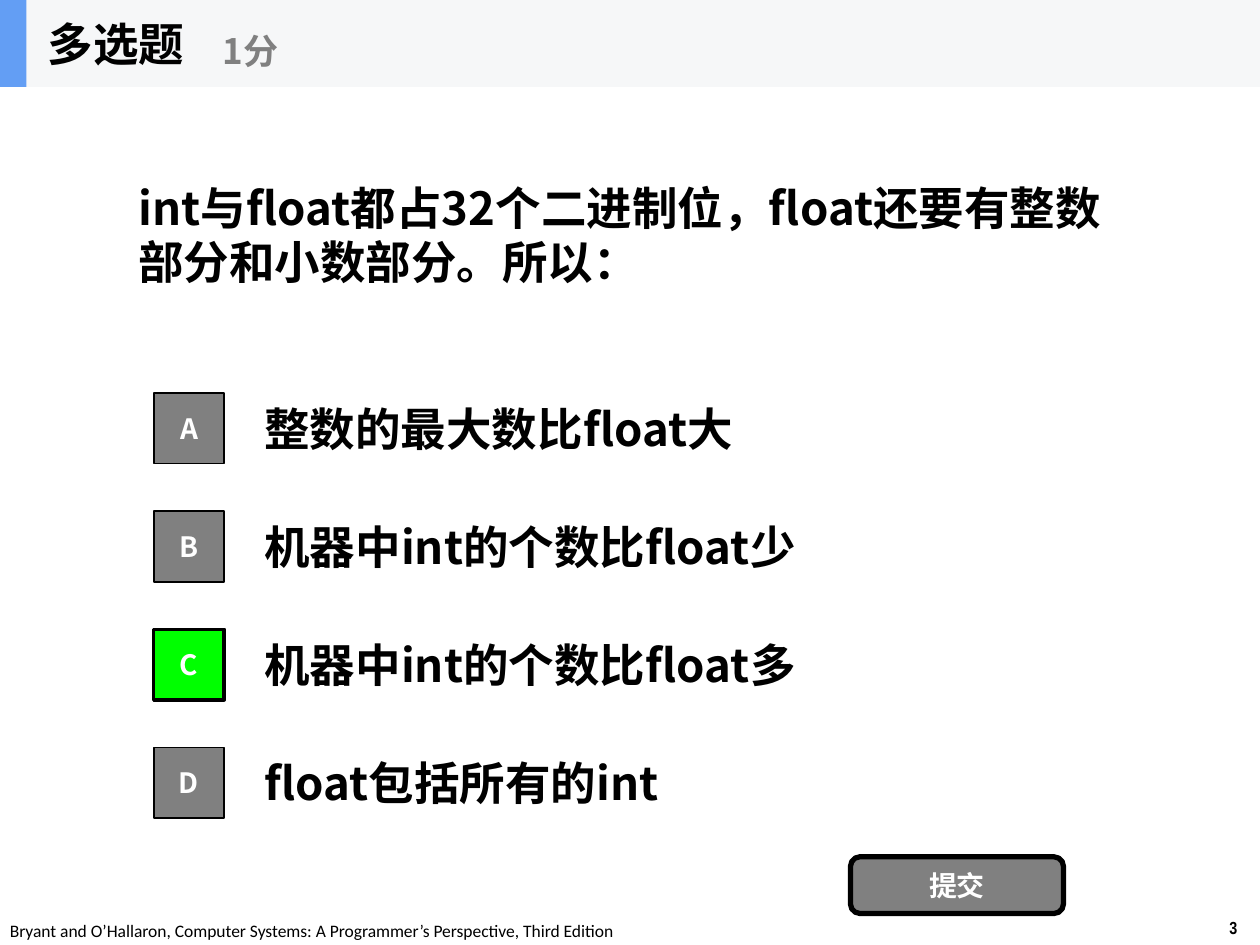
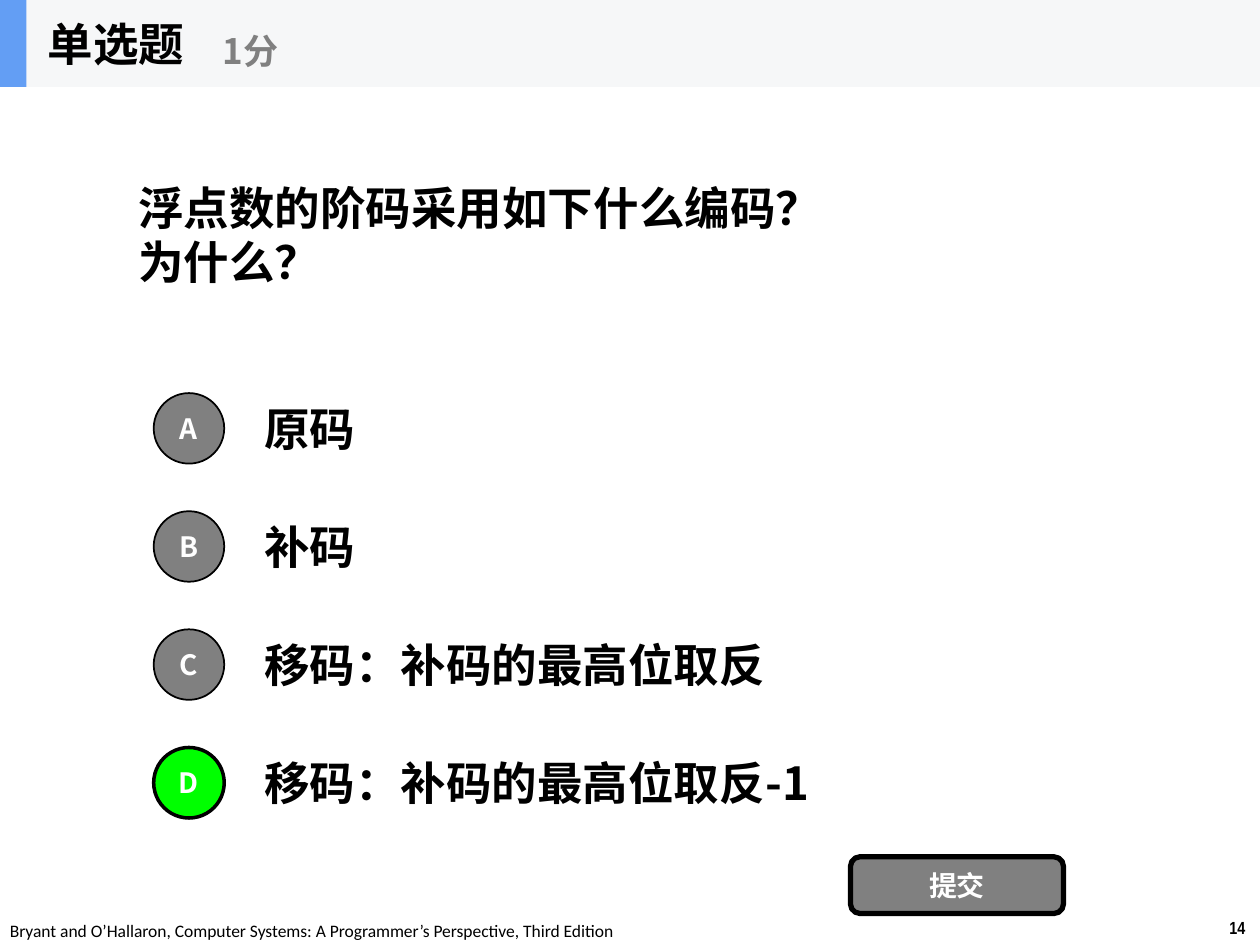
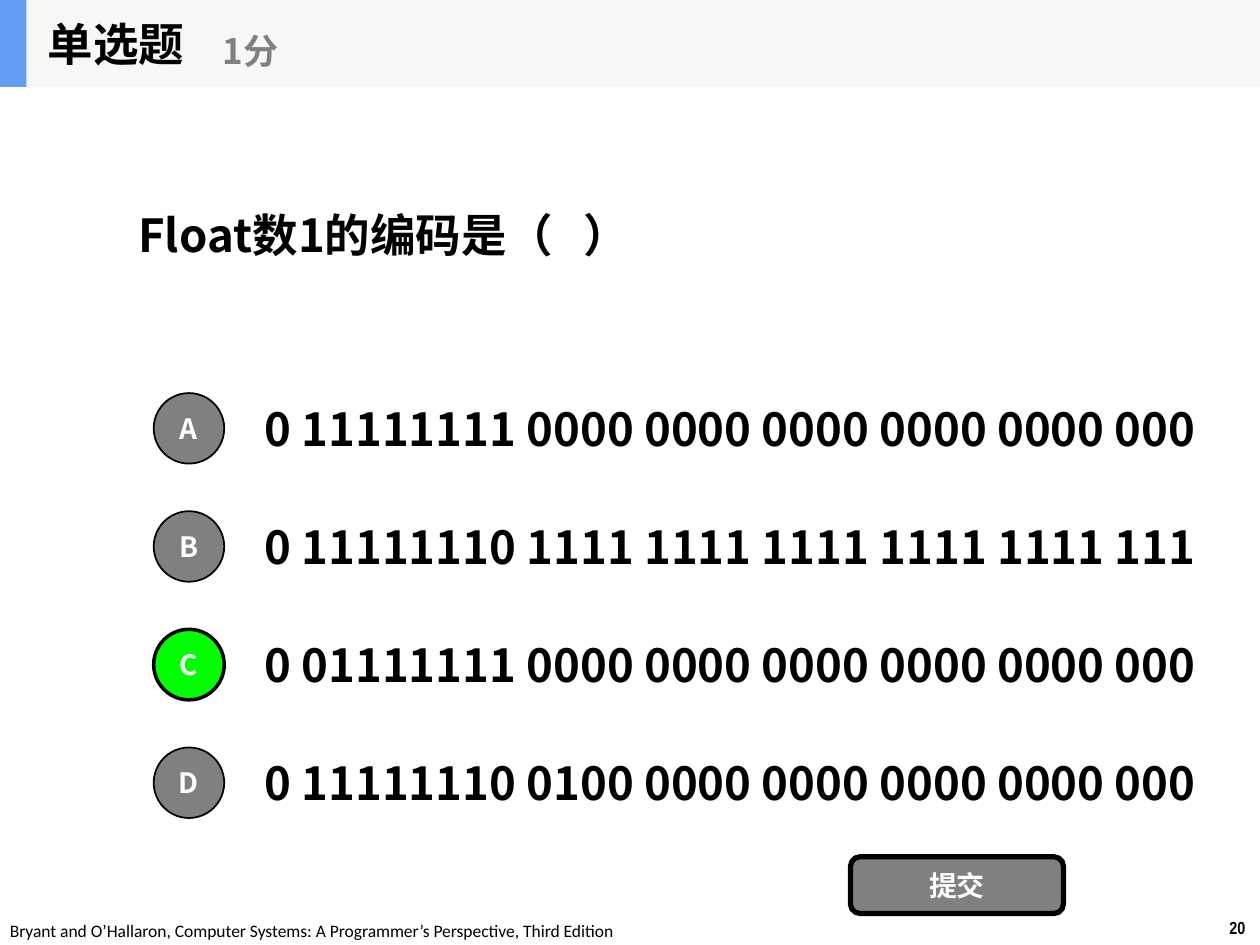
from pptx import Presentation
from pptx.dml.color import RGBColor
from pptx.enum.shapes import MSO_SHAPE
from pptx.enum.text import MSO_ANCHOR, MSO_AUTO_SIZE, PP_ALIGN
from pptx.oxml.ns import qn
from pptx.util import Inches, Pt
from lxml.etree import SubElement

W, H = 10, 7.5
BAND_H = 0.69
PITCH = H / 8
CJK = "Noto Sans CJK SC"
BLACK, WHITE, GRAY, GREEN = "000000", "FFFFFF", "808080", "00FF00"
BAND, ACCENT = "F6F7F8", "639EF4"
FOOTER = "Bryant and O’Hallaron, Computer Systems: A Programmer’s Perspective, Third Edition"

QUESTIONS = [
    dict(number=3, kind="多选题", badge=MSO_SHAPE.RECTANGLE, answer="C",
         question="int与float都占32个二进制位，float还要有整数部分和小数部分。所以：",
         options=["整数的最大数比float大", "机器中int的个数比float少",
                  "机器中int的个数比float多", "float包括所有的int"]),
    dict(number=14, kind="单选题", badge=MSO_SHAPE.OVAL, answer="D",
         question="浮点数的阶码采用如下什么编码？\n为什么？",
         options=["原码", "补码", "移码：补码的最高位取反", "移码：补码的最高位取反-1"]),
    dict(number=20, kind="单选题", badge=MSO_SHAPE.OVAL, answer="C",
         question="Float数1的编码是（   ）",
         options=["0 11111111 0000 0000 0000 0000 0000 000",
                  "0 11111110 1111 1111 1111 1111 1111 111",
                  "0 01111111 0000 0000 0000 0000 0000 000",
                  "0 11111110 0100 0000 0000 0000 0000 000"]),
]


def rgb(color):
    """Turn a hex string into a colour."""
    return RGBColor.from_string(color)


def write(sp, text, size=26, color=BLACK, font=CJK, bold=True, wrap=False,
          anchor=MSO_ANCHOR.MIDDLE, align=PP_ALIGN.LEFT):
    """Put formatted text into a shape."""
    tf = sp.text_frame
    tf.word_wrap = wrap
    tf.vertical_anchor = anchor
    p = tf.paragraphs[0]
    p.text = text
    p.alignment = align
    for r in p.runs:
        r.font.size, r.font.bold, r.font.name = Pt(size), bold, font
        r.font.color.rgb = rgb(color)
        SubElement(r.font._element, qn("a:ea")).set("typeface", font)


def add_text(shapes, box, text, **fmt):
    """Add a text box at a box given in inches."""
    sp = shapes.add_textbox(*map(Inches, box))
    write(sp, text, **fmt)
    return sp


def add_block(shapes, kind, box, fill, line=0):
    """Add a filled preset shape, outlined in black when a width is given."""
    sp = shapes.add_shape(kind, *map(Inches, box))
    sp.shadow.inherit = False
    sp.fill.solid()
    sp.fill.fore_color.rgb = rgb(fill)
    if line:
        sp.line.color.rgb = rgb(BLACK)
        sp.line.width = Pt(line)
    else:
        sp.line.fill.background()
    return sp


def add_button(shapes, kind, box, text, fill=GRAY, line=1):
    """Add an outlined shape with a centred white label."""
    sp = add_block(shapes, kind, box, fill, line)
    write(sp, text, size=16, color=WHITE, wrap=True, align=PP_ALIGN.CENTER)


def add_footer(shapes, number):
    """Add the page number and the book reference."""
    for box, text, font, bold in [
        ((9.66, 7.23, 0.34, 0.27), str(number), "Arial Narrow", True),
        ((-0.02, 7.25, 5.08, 0.27), FOOTER, "Calibri", False),
    ]:
        sp = add_text(shapes, box, text, size=10, font=font, bold=bold,
                      anchor=MSO_ANCHOR.TOP)
        sp.text_frame.auto_size = MSO_AUTO_SIZE.SHAPE_TO_FIT_TEXT


def add_option(shapes, box, badge, letter, text, correct):
    """Add a lettered badge and its text in one row."""
    x, y, w, h = box
    side = 0.8 * h
    add_text(shapes, (x + 1, y, w - 1, h), text)
    add_button(shapes, badge, (x + 0.22, y + (h - side) / 2, side, side), letter,
               fill=GREEN if correct else GRAY, line=2 if correct else 1)


def add_header(shapes, box, kind):
    """Add the grouped band with question type and score."""
    x, y, w, h = box
    band = shapes.add_group_shape().shapes
    add_block(band, MSO_SHAPE.RECTANGLE, box, BAND)
    add_block(band, MSO_SHAPE.RECTANGLE, (x, y, 0.21, h), ACCENT)
    add_text(band, (x + 0.28, y, 2.08, h), kind)
    add_text(band, (x + 1.67, y + 0.12, w / 4, 0.56), "1分", size=20, color=GRAY)


def add_question(prs, number, kind, badge, answer, question, options):
    """Build one quiz slide."""
    shapes = prs.slides.add_slide(prs.slide_layouts[6]).shapes
    add_footer(shapes, number)
    add_text(shapes, (1, BAND_H, 8, 2.34), question, wrap=True)
    for i, (letter, text) in enumerate(zip("ABCD", options)):
        add_option(shapes, (1, 3.05 + i * PITCH, 8.6, 0.7), badge, letter, text,
                   letter == answer)
    add_button(shapes, MSO_SHAPE.ROUNDED_RECTANGLE, (6.75, 6.8, 1.69, 0.45), "提交",
               line=3)
    add_header(shapes, (0, 0, W, BAND_H), kind)


def main():
    """Build and save the deck."""
    prs = Presentation()
    prs.slide_width, prs.slide_height = Inches(W), Inches(H)
    for item in QUESTIONS:
        add_question(prs, **item)
    prs.save("out.pptx")


if __name__ == "__main__":
    main()
